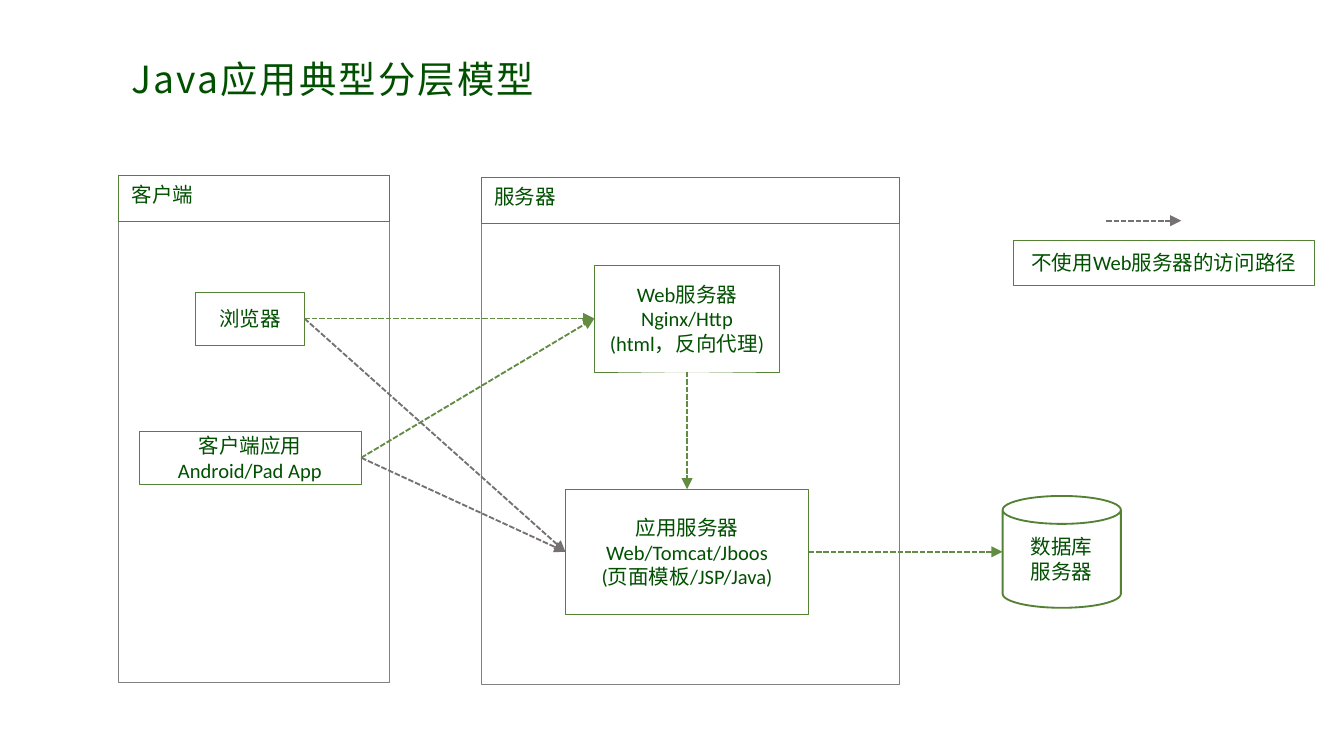
import pptx
import pptx.util
from lxml import etree
from pptx.dml.color import RGBColor
from pptx.enum.dml import MSO_LINE
from pptx.enum.shapes import MSO_CONNECTOR, MSO_SHAPE
from pptx.enum.text import MSO_ANCHOR, PP_ALIGN
from pptx.oxml.ns import qn

THEME = {
    "text": "005000", "fill": "FFFFFF", "border": "548235", "frame": "808080",
    "via web": "638C43", "direct": "767171",
    "latin": "Calibri", "cjk": "Noto Sans CJK SC",
    "title size": 20, "body size": 11, "title spacing": 110,
    "thin": 0.25, "thick": 1,
}
WIDTH = 10
HEIGHT = WIDTH * 9 / 16

# All lengths below are percentages of the slide's width or height.
TITLE = ("Java应用典型分层模型", (8.8, 6.58, 36.4, 7.82))
HEADER_HEIGHT, PANEL_HEIGHT = 6.08, 67.04
PANELS = [  # heading, left, top, width
    ("客户端", 8.8, 23.2, 20.2),
    ("服务器", 35.8, 23.5, 31.15),
]
COLUMNS = {"client": 18.6, "server": 51.12, "data": 79, "legend": 86.6}
ROWS = {"legend": 34.75, "web": 42.13, "client app": 60.55, "app": 73}
NODES = {  # column, row, width, height, lines
    "browser": ("client", "web", 8.1, 7, ["浏览器"]),
    "client app": ("client", "client app", 16.55, 7,
                   ["客户端应用", "Android/Pad App"]),
    "web": ("server", "web", 13.8, 14.1,
            ["Web服务器", "Nginx/Http", "(html，反向代理)"]),
    "app": ("server", "app", 18.1, 16.55,
            ["应用服务器", "Web/Tomcat/Jboos", "(页面模板/JSP/Java)"]),
    "database": ("data", "app", 8.8, 14.8, ["数据库", "服务器"]),
    "legend": ("legend", "legend", 22.4, 6.08, ["不使用Web服务器的访问路径"]),
}
ROUTES = [  # from node, side, to node, side, kind of path
    ("browser", "right", "web", "left", "via web"),
    ("web", "bottom", "app", "top", "via web"),
    ("app", "right", "database", "left", "via web"),
    ("client app", "right", "web", "left", "via web"),
    ("client app", "right", "app", "left", "direct"),
    ("browser", "right", "app", "left", "direct"),
]
LEGEND_ARROW = ((82.3, 29.2), (87.9, 29.2))
SIDES = {"left": (-0.5, 0), "right": (0.5, 0), "top": (0, -0.5), "bottom": (0, 0.5)}


def to_emu(*shares):
    """Turn alternating width and height percentages into slide lengths."""
    return [pptx.util.Inches(share * (WIDTH, HEIGHT)[i % 2] / 100)
            for i, share in enumerate(shares)]


def colour(role):
    return RGBColor.from_string(THEME[role])


def write(frame, lines, size, latin, align=PP_ALIGN.LEFT, spacing=None):
    frame.word_wrap = True
    frame.text = "\n".join(lines)
    for paragraph in frame.paragraphs:
        paragraph.alignment = align
        for run in paragraph.runs:
            run.font.size = pptx.util.Pt(THEME[size])
            run.font.name = THEME[latin]
            run.font.color.rgb = colour("text")
            properties = run._r.get_or_add_rPr()
            etree.SubElement(properties, qn("a:ea")).set("typeface", THEME["cjk"])
            if spacing:
                properties.set("spc", str(THEME[spacing]))


def add_box(slide, area, border, filled=False, kind=MSO_SHAPE.RECTANGLE, weight="thin"):
    box = slide.shapes.add_shape(kind, *to_emu(*area))
    box.shadow.inherit = False
    if filled:
        box.fill.solid()
        box.fill.fore_color.rgb = colour("fill")
    else:
        box.fill.background()
    box.line.color.rgb = colour(border)
    box.line.width = pptx.util.Pt(THEME[weight])
    return box


def add_panel(slide, heading, left, top, width):
    add_box(slide, (left, top, width, PANEL_HEIGHT), "frame")
    header = add_box(slide, (left, top, width, HEADER_HEIGHT), "border")
    header.text_frame.vertical_anchor = MSO_ANCHOR.TOP
    write(header.text_frame, [heading], "body size", "latin")


def add_node(slide, name):
    column, row, width, height, lines = NODES[name]
    area = (COLUMNS[column] - width / 2, ROWS[row] - height / 2, width, height)
    if name == "database":
        node = add_box(slide, area, "border", True, MSO_SHAPE.CAN, "thick")
    else:
        node = add_box(slide, area, "border", name != "legend")
    node.text_frame.vertical_anchor = MSO_ANCHOR.MIDDLE
    write(node.text_frame, lines, "body size", "latin", PP_ALIGN.CENTER)


def port(name, side):
    """Midpoint of one side of a node."""
    column, row, width, height, _ = NODES[name]
    across, down = SIDES[side]
    return COLUMNS[column] + across * width, ROWS[row] + down * height


def add_arrow(slide, start, end, path_kind):
    arrow = slide.shapes.add_connector(MSO_CONNECTOR.STRAIGHT, *to_emu(*start, *end))
    arrow.line.color.rgb = colour(path_kind)
    arrow.line.width = pptx.util.Pt(THEME["thick"])
    arrow.line.dash_style = MSO_LINE.SQUARE_DOT
    outline = arrow.line._get_or_add_ln()
    etree.SubElement(outline, qn("a:tailEnd")).set("type", "triangle")
    etree.SubElement(arrow._element.spPr, qn("a:effectLst"))


def main():
    deck = pptx.Presentation()
    deck.slide_width, deck.slide_height = to_emu(100, 100)
    slide = deck.slides.add_slide(deck.slide_layouts[6])

    heading, area = TITLE
    title = slide.shapes.add_textbox(*to_emu(*area))
    write(title.text_frame, [heading], "title size", "cjk", spacing="title spacing")

    for panel in PANELS:
        add_panel(slide, *panel)
    for name in NODES:
        add_node(slide, name)
    for source, exit_side, target, entry_side, path_kind in ROUTES:
        add_arrow(slide, port(source, exit_side), port(target, entry_side), path_kind)
    add_arrow(slide, *LEGEND_ARROW, "direct")

    deck.save("out.pptx")


if __name__ == "__main__":
    main()
